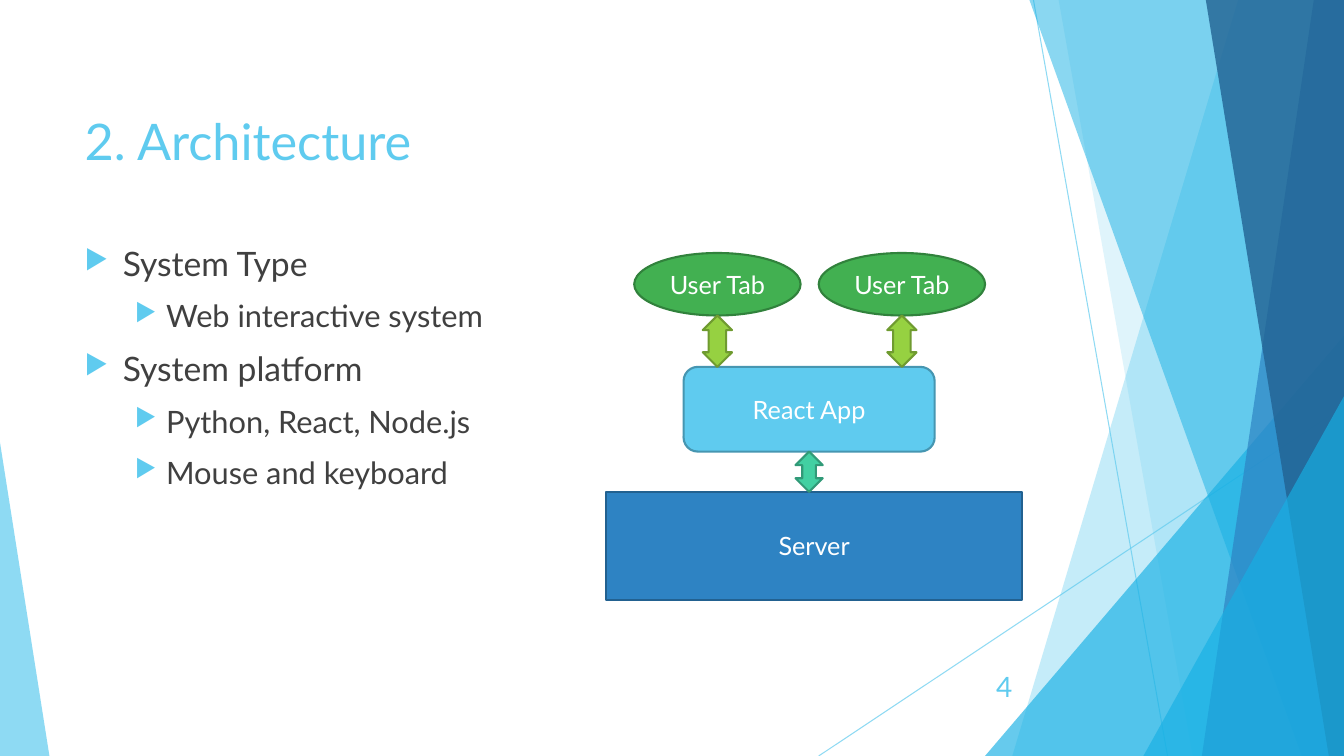
from typing import NamedTuple
from lxml.etree import SubElement
from pptx import Presentation
from pptx.dml.color import RGBColor
from pptx.enum.shapes import MSO_CONNECTOR as Link, MSO_SHAPE as Kind
from pptx.enum.text import MSO_ANCHOR as Anchor, MSO_AUTO_SIZE as Fit, PP_ALIGN as Align
from pptx.oxml.ns import qn
from pptx.util import Inches, Pt

COLS, ROWS = 133.3, 75
FONT = "Lato"
SKY, CYAN, BLUE, NAVY = "5FCBEF", "17B0E4", "2E83C3", "226292"
GREEN, GRAY, WHITE = "42B051", "404040", "FFFFFF"


class Box(NamedTuple):
    col: float
    row: float
    wide: float
    high: float


class Ray(NamedTuple):
    start: tuple[float, float]
    end: tuple[float, float]


class Pane(NamedTuple):
    top: float
    foot: float
    color: str
    alpha: int


class Wedge(NamedTuple):
    box: Box
    apex: int
    color: str
    alpha: int


class Node(NamedTuple):
    kind: Kind
    box: Box
    fill: str
    edge: str
    label: str = ""
    bends: tuple[float, ...] = ()


class Item(NamedTuple):
    text: str
    level: int = 0


class Style(NamedTuple):
    size: int
    indent: float
    hang: float


RAYS = [Ray((102.5, 0), (115.8, ROWS)), Ray((COLS, 40.3), (81.2, ROWS))]
DECOR = [
    Pane(122.8, 100.4, SKY, 36),
    Pane(105, 118.3, SKY, 20),
    Wedge(Box(97.7, 33.3, 35.6, 41.7), 1, CYAN, 66),
    Pane(102.1, 129.1, CYAN, 50),
    Pane(130.3, 119.2, BLUE, 70),
    Pane(119.6, 131.8, NAVY, 80),
    Wedge(Box(113.4, 39.3, 19.9, 35.7), 1, CYAN, 66),
    Wedge(Box(0, 43.9, 4.9, 31.1), 0, SKY, 70),
]
TABS = [62.9, 81.2]
NODES = [
    Node(Kind.RECTANGLE, Box(60.1, 48.8, 41.3, 10.7), BLUE, "226190", "Server"),
    Node(Kind.ROUNDED_RECTANGLE, Box(67.8, 36.4, 24.9, 8.4), SKY, "4696B1", "React App"),
    *[Node(Kind.OVAL, Box(col, 25.1, 16.5, 6.2), GREEN, "31823C", "User Tab")
      for col in TABS],
    *[Node(Kind.UP_DOWN_ARROW, Box(col + 6.8, 31.3, 2.9, 5.1), "96D141", "6F9B30",
           bends=(0.261, 0.595)) for col in TABS],
    Node(Kind.UP_DOWN_ARROW, Box(78.9, 44.8, 2.7, 4), "42D0A2", "319A78"),
]
ITEMS = [
    Item("System Type"),
    Item("Web interactive system", 1),
    Item("System platform"),
    Item("Python, React, Node.js", 1),
    Item("Mouse and keyboard", 1),
]
STYLES = [Style(24, 3.8, 3.8), Style(22, 8.1, 3.1)]


def unit(cells: float) -> int:
    return Inches(cells / 10)


def place(box: Box) -> list[int]:
    return [unit(side) for side in box]


def paint(fill, color: str, alpha: int = 100) -> None:
    fill.solid()
    fill.fore_color.rgb = RGBColor.from_string(color)
    if alpha < 100:
        tone = fill._xPr.find(".//" + qn("a:srgbClr"))
        SubElement(tone, qn("a:alpha"), val=str(alpha * 1000))


def ink(para, size: int, color: str) -> None:
    for run in para.runs:
        run.font.name = FONT
        run.font.size = Pt(size)
        run.font.color.rgb = RGBColor.from_string(color)


def write(frame, text: str, size: int, color: str, align: Align) -> None:
    frame.text = text
    frame.word_wrap = True
    frame.auto_size = Fit.NONE
    frame.vertical_anchor = Anchor.MIDDLE
    para = frame.paragraphs[0]
    para.alignment = align
    ink(para, size, color)


def draw_ray(shapes, ray: Ray) -> None:
    ends = [unit(val) for val in ray.start + ray.end]
    line = shapes.add_connector(Link.STRAIGHT, *ends)
    line.line.width = Pt(0.75)
    paint(line.line.fill, SKY, 70)
    SubElement(line._element.spPr, qn("a:effectLst"))


def draw_decor(shapes, part: Pane | Wedge) -> None:
    if isinstance(part, Pane):
        pen = shapes.build_freeform(unit(part.top), 0)
        ends = [(COLS, 0), (COLS, ROWS), (part.foot, ROWS)]
        pen.add_line_segments([(unit(col), unit(row)) for col, row in ends])
        shape = pen.convert_to_shape()
    else:
        shape = shapes.add_shape(Kind.ISOSCELES_TRIANGLE, *place(part.box))
        shape.adjustments[0] = part.apex
    shape.shadow.inherit = False
    shape.line.fill.background()
    paint(shape.fill, part.color, part.alpha)


def draw_node(shapes, node: Node) -> None:
    shape = shapes.add_shape(node.kind, *place(node.box))
    shape.shadow.inherit = False
    for num, bend in enumerate(node.bends):
        shape.adjustments[num] = bend
    paint(shape.fill, node.fill)
    paint(shape.line.fill, node.edge)
    shape.line.width = Pt(1.5)
    if node.label:
        write(shape.text_frame, node.label, 18, WHITE, Align.CENTER)


def add_bullet(para, style: Style) -> None:
    props = para._p.get_or_add_pPr()
    props.set("marL", str(unit(style.indent)))
    props.set("indent", str(-unit(style.hang)))
    tone = SubElement(props, qn("a:buClr"))
    SubElement(tone, qn("a:srgbClr"), val=SKY)
    SubElement(props, qn("a:buSzPct"), val="80000")
    SubElement(props, qn("a:buChar"), char="▶")


def draw_list(shapes, items: list[Item], box: Box) -> None:
    frame = shapes.add_textbox(*place(box)).text_frame
    frame.word_wrap = True
    for num, item in enumerate(items):
        para = frame.add_paragraph() if num else frame.paragraphs[0]
        style = STYLES[item.level]
        para.text = item.text
        para.level = item.level
        add_bullet(para, style)
        para.space_before = Pt(10 if num else 0)
        ink(para, style.size, GRAY)


def main() -> None:
    deck = Presentation()
    deck.slide_width, deck.slide_height = unit(COLS), unit(ROWS)
    slide = deck.slides.add_slide(deck.slide_layouts[5])
    shapes = slide.shapes
    for ray in RAYS:
        draw_ray(shapes, ray)
    for part in DECOR:
        draw_decor(shapes, part)
    title = shapes.title
    title.left, title.top, title.width, title.height = place(Box(7.4, 6.7, 94, 14.4))
    write(title.text_frame, "2. Architecture", 36, SKY, Align.LEFT)
    page = shapes.add_textbox(*place(Box(93.9, 66.1, 7.5, 4)))
    write(page.text_frame, "4", 20, SKY, Align.RIGHT)
    draw_list(shapes, ITEMS, Box(7.4, 23.6, 94, 42.4))
    for node in NODES:
        draw_node(shapes, node)
    deck.save("out.pptx")


if __name__ == "__main__":
    main()
